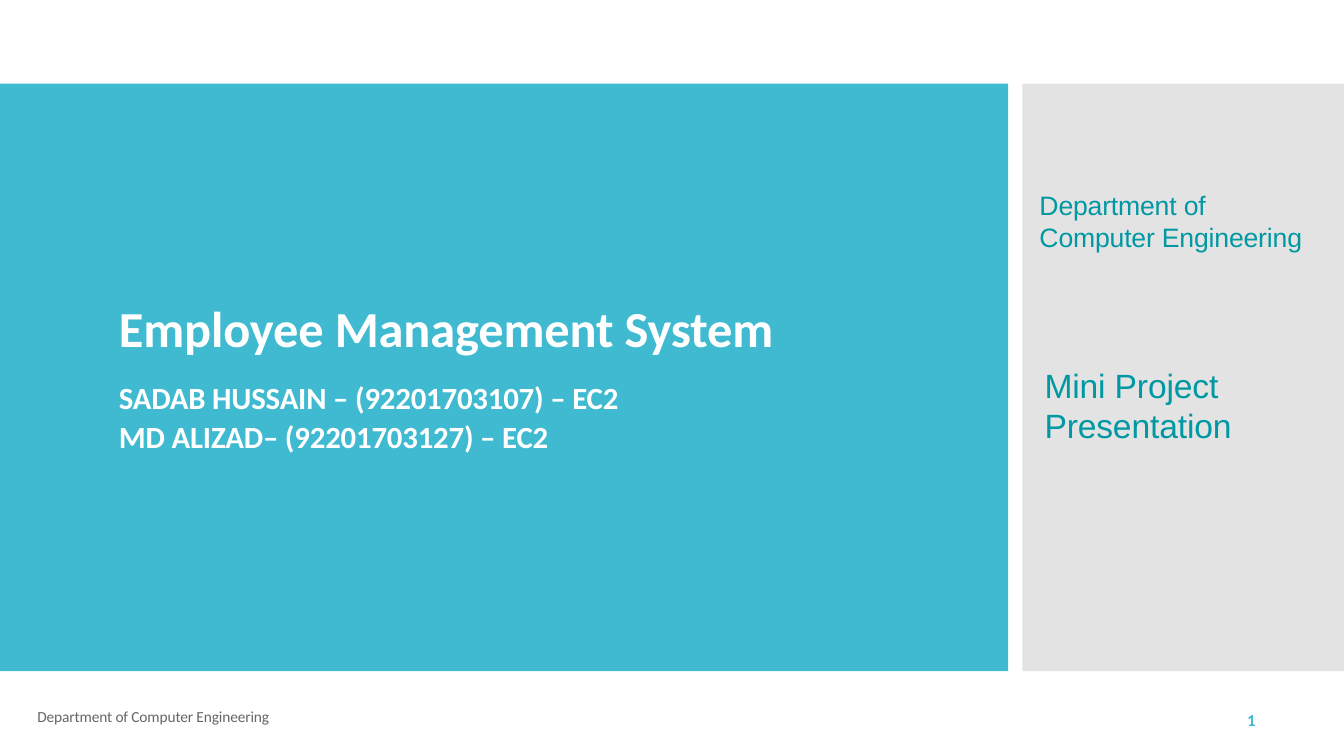
from lxml import etree
from pptx import Presentation
from pptx.dml.color import RGBColor
from pptx.enum.shapes import MSO_SHAPE as Shape
from pptx.enum.text import MSO_AUTO_SIZE as AutoSize
from pptx.oxml.ns import qn
from pptx.util import Inches, Pt

TURQUOISE = RGBColor(0x40, 0xBA, 0xD1)
SILVER = RGBColor(0xC8, 0xC8, 0xC8)
TEAL = RGBColor(0x00, 0x98, 0xA3)
GRAY = RGBColor(0x66, 0x66, 0x66)
WHITE = RGBColor(0xFF, 0xFF, 0xFF)

DEPARTMENT = "Department of Computer Engineering"


def add_panel(page, box, color, alpha=None):
    left, top, width, height = map(Inches, box)
    panel = page.shapes.add_shape(Shape.RECTANGLE, left, top, width, height)
    panel.shadow.inherit = False
    panel.fill.solid()
    panel.fill.fore_color.rgb = color
    panel.line.fill.background()
    if alpha is not None:
        tint = panel.fill._xPr.find(".//" + qn("a:srgbClr"))
        etree.SubElement(tint, qn("a:alpha")).set("val", str(alpha * 1000))


def add_text(page, box, lines, size, color, font="Calibri", bold=False,
             inset_top=0, indent=0.01, leading=None, spacing=-0.1):
    left, top, width, height = map(Inches, box)
    frame = page.shapes.add_textbox(left, top, width, height).text_frame
    frame.word_wrap = True
    frame.auto_size = AutoSize.SHAPE_TO_FIT_TEXT
    frame.margin_left = Inches(indent)
    frame.margin_top = Inches(inset_top)
    frame.margin_right = frame.margin_bottom = 0
    frame.text = "\n".join(lines)
    for index, para in enumerate(frame.paragraphs):
        if leading:
            para.line_spacing = Pt(leading)
        if index:
            para.space_before = Pt(1)
        for span in para.runs:
            span.font.name = font
            span.font.size = Pt(size)
            span.font.bold = bold
            span.font.color.rgb = color
            if spacing:
                span.font._element.set("spc", str(round(spacing * 100)))


def add_title_area(page, left, top, width, height):
    add_panel(page, (left, top, width, height), TURQUOISE)
    text_left = left + 1.17
    add_text(page, (text_left, top + 1.71, 6.83, 0.93),
             ["Employee Management System"], 36, WHITE, bold=True,
             inset_top=0.12, leading=63.8)
    add_text(page, (text_left, top + 2.92, 7.38, 1.15),
             ["SADAB HUSSAIN – (92201703107) – EC2",
              "MD ALIZAD– (92201703127) – EC2"],
             22, WHITE, bold=True, inset_top=0.01)


def add_sidebar(page, left, top, width, height):
    add_panel(page, (left, top, width, height), SILVER, alpha=50)
    add_text(page, (left + 0.16, top + 1.02, 2.75, 0.65), [DEPARTMENT],
             19, TEAL, font="Arial", inset_top=0.03, leading=22.5)
    add_text(page, (left + 0.21, top + 2.74, 2.39, 0.86),
             ["Mini Project Presentation"], 24, TEAL, font="Arial",
             inset_top=0.05)


def add_footer(page, left, top):
    add_text(page, (left, top, 2.49, 0.18), [DEPARTMENT], 11, GRAY,
             leading=11.4)
    # Page number
    add_text(page, (left + 11.97, top + 0.03, 0.26, 0.19), ["1"], 12,
             TURQUOISE, bold=True, indent=0.04, leading=12.3, spacing=0)


def main():
    deck = Presentation()
    deck.slide_width, deck.slide_height = Inches(13.33), Inches(7.5)
    page = deck.slides.add_slide(deck.slide_layouts[6])
    page.background.fill.solid()
    page.background.fill.fore_color.rgb = WHITE

    add_title_area(page, 0, 0.83, 10, 5.83)
    add_sidebar(page, 10.14, 0.83, 3.19, 5.83)
    add_footer(page, 0.36, 7.04)
    deck.save("out.pptx")


if __name__ == "__main__":
    main()
